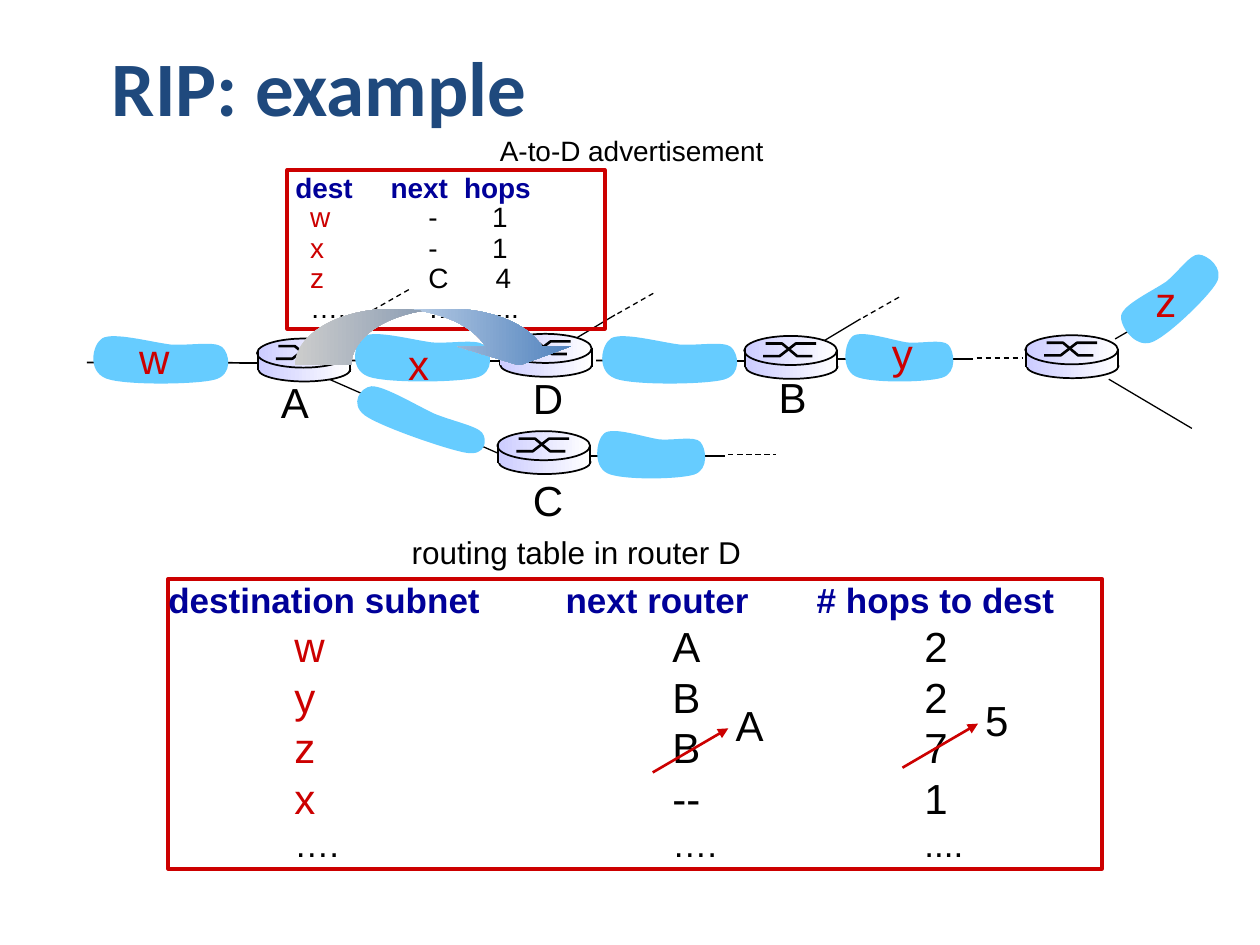
from dataclasses import dataclass

from lxml.etree import SubElement
from pptx import Presentation
from pptx.dml.color import RGBColor
from pptx.enum.dml import MSO_LINE as Dash
from pptx.enum.shapes import MSO_CONNECTOR as Link, MSO_SHAPE as Kind
from pptx.enum.text import MSO_ANCHOR as Anchor, MSO_AUTO_SIZE as Fit, PP_ALIGN as Align
from pptx.oxml.ns import qn
from pptx.util import Pt

BLACK, RED, NAVY, SKY = "000000", "CC0000", "000099", "66CCFF"
BLOB = [
    (5.8, -7.9),
    (-5.8, -9.4), (-26.6, -15.1), (-33.1, -11.5),
    (-38.9, -7.9), (-41.8, 7.2), (-31, 11.5),
    (-20.9, 15.5), (20.2, 15), (31, 12.2),
    (41.8, 9.4), (39.6, -2.9), (35.3, -6.5),
    (31, -10), (17.3, -7.2), (5.8, -7.9),
]


@dataclass
class Line:
    """A straight line between two points."""
    x1: float
    y1: float
    x2: float
    y2: float
    wide: float = 0.75
    dash: bool = False
    tint: str = BLACK
    head: bool = False


@dataclass
class Cloud:
    """A subnet blob by its centre, stretch and turn."""
    x: float
    y: float
    sx: float = 1
    sy: float = 1
    turn: float = 0


@dataclass
class Label:
    """A one-line text by its top left corner and width."""
    text: str
    x: float
    y: float
    w: float
    size: float = 24
    tint: str = BLACK


@dataclass
class Row:
    """A line of cells set on tab stops."""
    cells: tuple
    stops: tuple
    size: float
    first: str = RED
    rest: str = BLACK
    bold: bool = False
    lead: float = 1


LINES = [
    Line(478.8, 205.2, 555.8, 205.2),
    Line(199.4, 206, 296.6, 206.3, 1),
    Line(340.6, 206, 438.5, 206.3, 1),
    Line(49.7, 207.2, 147.6, 207.4, 1),
    Line(637.2, 193.7, 684.7, 166.3),
    Line(633.6, 216.7, 681.1, 244.8),
    Line(186.5, 216, 285.1, 259.2),
    Line(337, 260.6, 414, 260.6),
    Line(558, 204.5, 584.6, 204.5, dash=True),
    Line(416.2, 259.9, 443.5, 259.9, dash=True),
]
SPURS = [(466.6, 197.3), (326.2, 195.1), (186.5, 193)]
CLOUDS = [
    Cloud(241.2, 203.6), Cloud(91.6, 204.8), Cloud(382.4, 204.8),
    Cloud(513.7, 203.6, 0.8), Cloud(371.9, 259, 0.8),
    Cloud(240.6, 239.9, sy=0.74, turn=19.7),
    Cloud(668.5, 169.9, 0.82, turn=316.8),
]
NODES = [(285.1, 190.8), (425.3, 192), (585.9, 191.6), (284.2, 246.4), (146.9, 193.5)]
LABELS = [
    Label("w", 72.5, 186.5, 31.7, tint=RED), Label("x", 226.2, 190, 26.6, tint=RED),
    Label("y", 502.6, 183.6, 26.6, tint=RED), Label("z", 653.2, 154, 26.6, tint=RED),
    Label("A", 153.4, 211.7, 30.2), Label("C", 297.4, 267.8, 31.7),
    Label("D", 297.4, 209.1, 31.7), Label("B", 437.8, 208.8, 30.2),
    Label("A", 413.3, 396, 30.2), Label("5", 555.8, 393.1, 28.1),
    Label("routing table in router D", 228.2, 301, 202.3, 18),
    Label("A-to-D advertisement", 278.6, 72.7, 165.6, 16),
]
EDITS = [(373, 441.4), (515.7, 438.7)]
WIDE, SLIM = (72, 288, 432), (13, 80.5, 117)
ROUTES = [
    Row(("destination subnet", "next router", "# hops to dest"), (227, 370.5), 20, NAVY, NAVY, True),
    *(Row(cells, WIDE, 24) for cells in
      [("w", "A", "2"), ("y", "B", "2"), ("z", "B", "7"), ("x", "--", "1")]),
    Row(("….", "….", "...."), WIDE, 20, BLACK),
]
ADVERT = [
    Row(("dest", "next", "hops"), (4.5, 59, 101), 16, NAVY, NAVY, True),
    *(Row(cells, SLIM, 16, lead=0.9) for cells in [("w", "-", "1"), ("x", "-", "1")]),
    Row(("z", "C", "4"), (13, 80.5, 119), 16, lead=0.9),
    Row(("….", "…", "..."), (13, 80.5, 119), 16, BLACK, lead=0.9),
]


def rgb(tint: str) -> RGBColor:
    """Turn a hex string into a colour."""
    return RGBColor.from_string(tint)


def write(para, text: str, size: float, tint: str, bold: bool = False, face: str = "Arial") -> None:
    """Add one formatted run."""
    run = para.add_run()
    run.text = text
    font = run.font
    font.size, font.name, font.bold = Pt(size), face, bold
    font.color.rgb = rgb(tint)


def draw_line(shapes, line: Line) -> None:
    """Draw a straight connector."""
    wire = shapes.add_connector(Link.STRAIGHT, Pt(line.x1), Pt(line.y1), Pt(line.x2), Pt(line.y2))
    wire.line.width = Pt(line.wide)
    wire.line.color.rgb = rgb(line.tint)
    if line.dash:
        wire.line.dash_style = Dash.DASH
    if line.head:
        SubElement(wire.line._get_or_add_ln(), qn("a:tailEnd"), type="triangle")
    SubElement(wire._element.spPr, qn("a:effectLst"))


def draw_path(shapes, points: list, closed: bool):
    """Draw a freeform through points."""
    spots = [(Pt(x), Pt(y)) for x, y in points]
    pen = shapes.build_freeform(*spots[0])
    pen.add_line_segments(spots[1:], close=closed)
    shape = pen.convert_to_shape()
    shape.shadow.inherit = False
    return shape


def draw_cloud(shapes, cloud: Cloud) -> None:
    """Draw a subnet blob, its segments joined in threes into curves."""
    points = [(cloud.x + x * cloud.sx, cloud.y + y * cloud.sy) for x, y in BLOB]
    blob = draw_path(shapes, points, True)
    route = next(blob._element.iter(qn("a:path")))
    parts = route.findall(qn("a:lnTo"))[:len(BLOB) - 1]
    for i in range(0, len(parts), 3):
        curve = parts[i]
        curve.tag = qn("a:cubicBezTo")
        for part in parts[i + 1:i + 3]:
            curve.append(part[0])
            route.remove(part)
    blob.rotation = cloud.turn
    blob.fill.solid()
    blob.fill.fore_color.rgb = rgb(SKY)
    blob.line.fill.background()


def draw_form(shapes, kind: Kind, box: tuple, tints: tuple = (), edge: str = "", wide: float = 1):
    """Draw a preset shape with an optional gradient and edge."""
    shape = shapes.add_shape(kind, *map(Pt, box))
    shape.shadow.inherit = False
    if tints:
        shape.fill.gradient()
        shape.fill.gradient_angle = 0
        for spot, stop, tint in zip((0, 1), shape.fill.gradient_stops, tints):
            stop.position, stop.color.rgb = spot, rgb(tint)
    else:
        shape.fill.background()
    if edge:
        shape.line.color.rgb, shape.line.width = rgb(edge), Pt(wide)
    else:
        shape.line.fill.background()
    return shape


def draw_node(shapes, x: float, y: float) -> None:
    """Draw a router as a group."""
    group = shapes.add_group_shape().shapes
    tints = ("CCCCFF", "FFFFFF")
    draw_form(group, Kind.OVAL, (x + 0.7, y + 10.8, 52.6, 13.7), tints, BLACK)
    draw_form(group, Kind.RECTANGLE, (x + 0.4, y + 9.4, 52.9, 8.6), tints)
    draw_form(group, Kind.OVAL, (x, y, 53, 16.6), tints, BLACK)
    for xs, y1, y2 in [((10.8, 20.2, 29.5, 41), 11.5, 4.3), ((12.2, 21.6, 30.2, 38.9), 4.3, 11.5)]:
        points = [(x + dx, y + dy) for dx, dy in zip(xs, (y1, y1, y2, y2))]
        mark = draw_path(group, points, False)
        mark.fill.background()
        mark.line.color.rgb, mark.line.width = rgb(BLACK), Pt(1.5)
    for dx, dy in [(0.4, 7.2), (53.1, 8)]:
        draw_line(group, Line(x + dx, y + dy, x + dx, y + dy + 10.8, 1))


def draw_label(shapes, label: Label) -> None:
    """Draw a text box that does not wrap."""
    box = shapes.add_textbox(Pt(label.x), Pt(label.y), Pt(label.w), Pt(label.size * 1.2 + 7.2))
    frame = box.text_frame
    frame.word_wrap, frame.auto_size = False, Fit.SHAPE_TO_FIT_TEXT
    write(frame.paragraphs[0], label.text, label.size, label.tint)


def draw_rows(shapes, box: tuple, rows: list) -> None:
    """Draw a framed list of tabbed rows."""
    frame = draw_form(shapes, Kind.RECTANGLE, box, edge=RED, wide=2.25).text_frame
    frame.margin_left = frame.margin_right = frame.margin_top = frame.margin_bottom = 0
    frame.vertical_anchor, frame.word_wrap = Anchor.TOP, True
    for i, row in enumerate(rows):
        para = frame.add_paragraph() if i else frame.paragraphs[0]
        tabs = SubElement(para._p.get_or_add_pPr(), qn("a:tabLst"))
        for stop in row.stops:
            SubElement(tabs, qn("a:tab"), pos=str(Pt(stop)), algn="l")
        para.alignment, para.line_spacing = Align.LEFT, row.lead
        tab = "\t" if len(row.stops) == len(row.cells) else ""
        write(para, tab + row.cells[0], row.size, row.first, row.bold)
        write(para, "\t" + "\t".join(row.cells[1:]), row.size, row.rest, row.bold)


def main() -> None:
    """Build the slide and save it."""
    deck = Presentation()
    deck.slide_width, deck.slide_height = Pt(720), Pt(540)
    shapes = deck.slides.add_slide(deck.slide_layouts[5]).shapes
    title = shapes.title
    title.left, title.top, title.width, title.height = map(Pt, (32.4, 15.1, 310.3, 67.7))
    title.text_frame.vertical_anchor = Anchor.MIDDLE
    para = title.text_frame.paragraphs[0]
    para.alignment = Align.CENTER
    write(para, "RIP: example ", 44, "1F497D", True, "Calibri")
    for line in LINES:
        draw_line(shapes, line)
    for cloud in CLOUDS:
        draw_cloud(shapes, cloud)
    for x, y in SPURS:
        draw_line(shapes, Line(x, y, x + 25.2, y - 15.1))
        draw_line(shapes, Line(x + 26.6, y - 15.8, x + 48.2, y - 28.1, dash=True))
    for x, y in NODES:
        draw_node(shapes, x, y)
    draw_rows(shapes, (96.2, 330.8, 533.5, 165.6), ROUTES)
    draw_rows(shapes, (164.2, 97.2, 181.4, 90.7), ADVERT)
    for label in LABELS:
        draw_label(shapes, label)
    for x, y in EDITS:
        draw_line(shapes, Line(x, y, x + 43.2, y - 25.2, 1.5, tint=RED, head=True))
    arrow = draw_form(shapes, Kind.CURVED_DOWN_ARROW, (168.5, 176.4, 160.6, 32.4), ("FFFFFF", "4F81BD"))
    for i, value in enumerate((0.996, 1.992, 0.333)):
        arrow.adjustments[i] = value
    deck.save("out.pptx")


if __name__ == "__main__":
    main()
